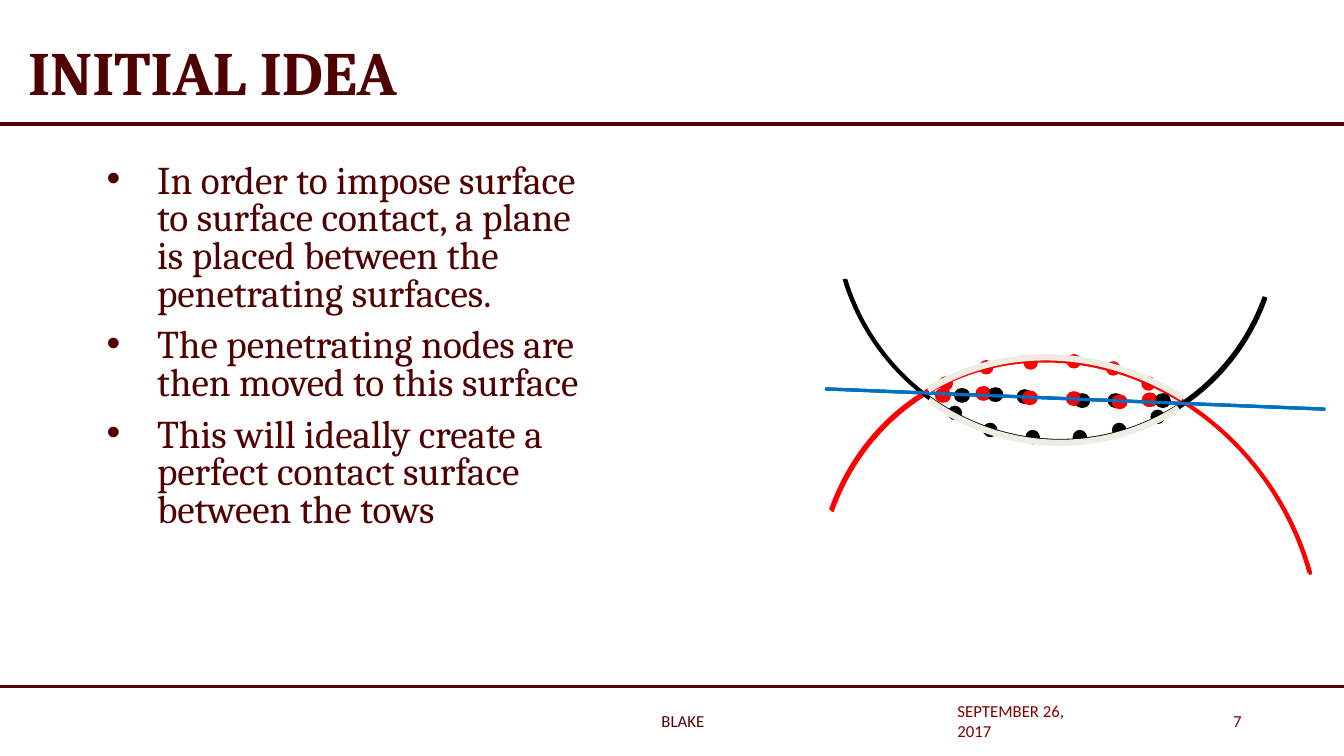
from lxml import etree
from pptx import Presentation
from pptx.dml.color import RGBColor
from pptx.enum.shapes import MSO_CONNECTOR, MSO_SHAPE
from pptx.enum.text import MSO_ANCHOR, PP_ALIGN
from pptx.oxml.ns import qn
from pptx.util import Cm, Pt

ARC, OVAL = MSO_SHAPE.ARC, MSO_SHAPE.OVAL
STRAIGHT = MSO_CONNECTOR.STRAIGHT
TOP, MIDDLE = MSO_ANCHOR.TOP, MSO_ANCHOR.MIDDLE
LEFT, CENTER, RIGHT = PP_ALIGN.LEFT, PP_ALIGN.CENTER, PP_ALIGN.RIGHT

COLORS = {
    "maroon": "500000", "footer": "800000", "red": "FF0000",
    "black": "000000", "plane": "0070C0", "cover": "EFEDE3",
}
WIDTH, HEIGHT = 33.87, 19.05
NODE_SIZE = 0.33

BULLETS = [
    "In order to impose surface to surface contact, a plane is placed "
    "between the penetrating surfaces.",
    "The penetrating nodes are then moved to this surface",
    "This will ideally create a perfect contact surface between the tows",
]

# Top-left corners of the surface nodes, in cm
PENETRATING_NODES = {
    "black": [(23.9, 10.24), (24.79, 10.67), (25.86, 10.85),
              (27.05, 10.85), (28.04, 10.67), (29.01, 10.34)],
    "red": [(24.69, 9.09), (23.67, 9.5), (27.89, 9.12),
            (26.9, 8.94), (25.81, 8.97), (28.78, 9.5)],
}
MOVED_NODES = {
    "black": [(24.1, 9.8), (24.94, 9.78), (25.68, 9.83),
              (27.13, 9.93), (27.97, 9.93), (29.16, 9.93)],
    "red": [(24.64, 9.75), (23.62, 9.8), (28.07, 9.96),
            (26.92, 9.88), (25.81, 9.86), (28.83, 9.91)],
}
# Each layer: horizontal shift, vertical shift of the arcs, nodes
LAYERS = [
    (0, 0, PENETRATING_NODES),
    (0, -0.03, MOVED_NODES),
    (-0.04, -0.04, MOVED_NODES),
]


def color(name):
    return RGBColor.from_string(COLORS[name])


class SlideBuilder:
    def __init__(self, slide):
        self.slide = slide
        self.shapes = slide.shapes

    def start_group(self):
        """Send the following shapes to a new group."""
        self.shapes = self.slide.shapes.add_group_shape().shapes

    def line(self, x1, y1, x2, y2, line_color, weight):
        connector = self.shapes.add_connector(
            STRAIGHT, Cm(x1), Cm(y1), Cm(x2), Cm(y2))
        connector.line.color.rgb = color(line_color)
        connector.line.width = Pt(weight)
        etree.SubElement(connector._element.spPr, qn("a:effectLst"))

    def outlined(self, kind, box, line_color, weight):
        shape = self.shapes.add_shape(kind, *map(Cm, box))
        shape.shadow.inherit = False
        shape.line.color.rgb = color(line_color)
        shape.line.width = Pt(weight)
        return shape

    def arc(self, box, rotation, ends, line_color, weight=2.25):
        shape = self.outlined(ARC, box, line_color, weight)
        shape.fill.background()
        shape.adjustments[0], shape.adjustments[1] = ends
        shape.rotation = rotation

    def node(self, left, top, fill_color):
        box = (left, top, NODE_SIZE, NODE_SIZE)
        shape = self.outlined(OVAL, box, fill_color, 1)
        shape.fill.solid()
        shape.fill.fore_color.rgb = color(fill_color)

    def text(self, box, lines, size, font, text_color="maroon", bold=False,
             align=LEFT, anchor=MIDDLE, spacing=1.0, bulleted=False):
        frame = self.shapes.add_textbox(*map(Cm, box)).text_frame
        frame.word_wrap = True
        frame.vertical_anchor = anchor
        frame.text = "\n".join(lines)
        for index, paragraph in enumerate(frame.paragraphs):
            paragraph.alignment = align
            paragraph.line_spacing = spacing
            if index:
                paragraph.space_before = Pt(10)
            if bulleted:
                self.bullet(paragraph)
            for run in paragraph.runs:
                run.font.size = Pt(size)
                run.font.name = font
                run.font.bold = bold
                run.font.color.rgb = color(text_color)

    def bullet(self, paragraph):
        properties = paragraph._p.get_or_add_pPr()
        properties.set("marL", str(Cm(1.27)))
        properties.set("indent", str(Cm(-1.27)))
        etree.SubElement(properties, qn("a:buFont"), typeface="Arial")
        etree.SubElement(properties, qn("a:buChar"), char="•")

    def contact_layer(self, shift, arc_shift, nodes):
        """Draw two tow surfaces, their nodes and the plane between them."""
        self.start_group()
        ends = (143.307, 13.299)
        self.arc((20.83 + shift, 8.89 + arc_shift, 12.24, 13.64),
                 326.4, ends, "red")
        self.arc((21.11 + shift, -0.1 + arc_shift, 11.07, 11.28),
                 141.8, ends, "black")
        for name, corners in nodes.items():
            for left, top in corners:
                self.node(left + shift, top, name)
        self.line(20.83 + shift, 9.8, 33.4 + shift, 10.31, "plane", 2.25)


def main():
    presentation = Presentation()
    presentation.slide_width, presentation.slide_height = Cm(WIDTH), Cm(HEIGHT)
    slide = presentation.slides.add_slide(presentation.slide_layouts[6])
    builder = SlideBuilder(slide)

    builder.line(0, 3.12, WIDTH, 3.12, "maroon", 2.5)
    builder.line(0, 17.3, WIDTH, 17.3, "maroon", 2)
    builder.text((0.46, -0.15, 26.67, 4.11), ["INITIAL IDEA"], 44, "Cambria",
                 bold=True, spacing=0.9)
    builder.text((2.44, 4.01, 12.7, 11.79), BULLETS, 28, "Cambria",
                 anchor=TOP, spacing=0.8, bulleted=True)

    for layer in LAYERS:
        builder.contact_layer(*layer)
    builder.arc((20.85, 8.81, 12.24, 13.64), 327.5, (162.513, 197.642),
                "cover", 4.5)
    builder.arc((21.08, -0.08, 11.07, 11.28), 141.8, (165.017, 206.181),
                "cover", 4.5)

    builder.shapes = slide.shapes
    footers = [
        (23.88, 3.94, "SEPTEMBER 26, 2017", "footer", LEFT),
        (11.23, 11.96, "BLAKE", "maroon", CENTER),
        (28.52, 3.02, "7", "footer", RIGHT),
    ]
    for left, width, label, text_color, align in footers:
        builder.text((left, 17.66, width, 1.02), [label], 12, "Calibri",
                     text_color, align=align)

    presentation.save("out.pptx")


if __name__ == "__main__":
    main()
